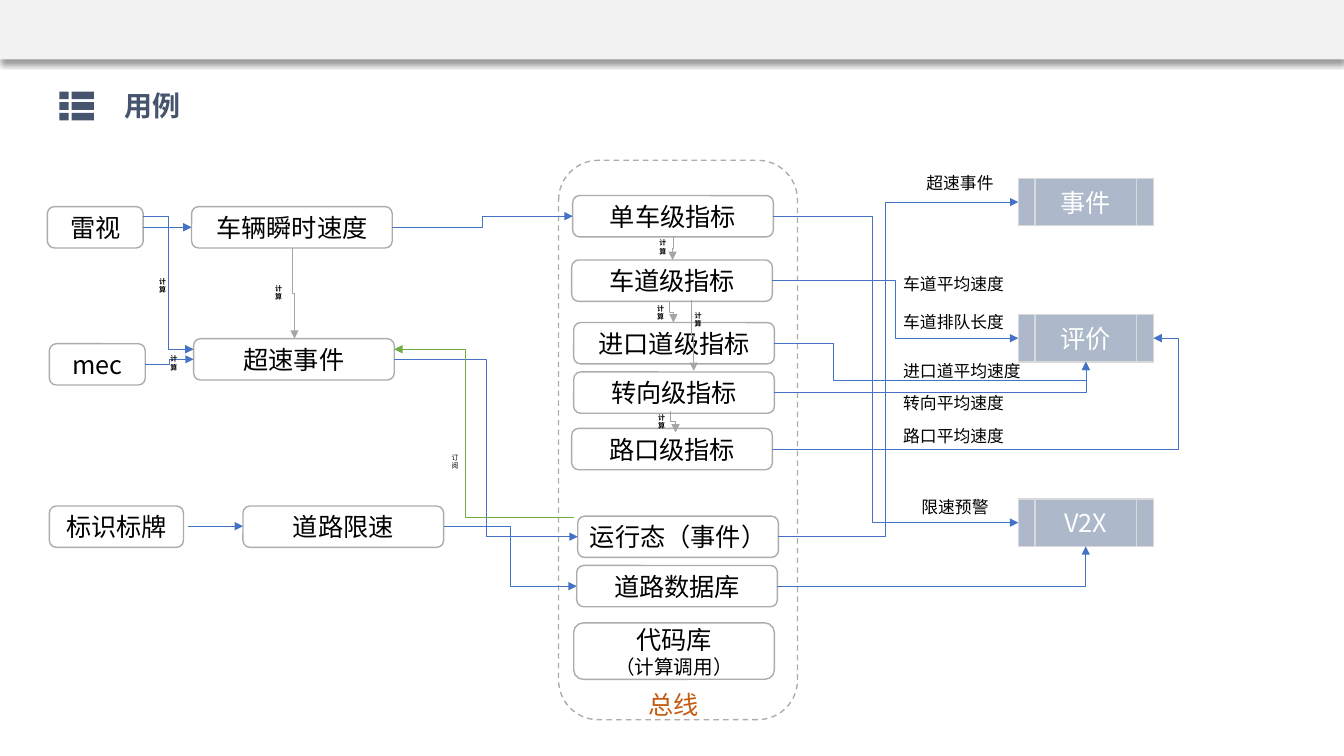
"""Build the use-case slide: sources, metrics bus and consumers joined by arrows."""
from lxml.etree import SubElement
from pptx import Presentation
from pptx.dml.color import RGBColor
from pptx.enum.dml import MSO_LINE
from pptx.enum.shapes import MSO_CONNECTOR as LINK, MSO_SHAPE as SHAPE
from pptx.enum.text import MSO_ANCHOR as ANCHOR, PP_ALIGN as ALIGN
from pptx.oxml.ns import qn
from pptx.util import Inches, Pt

FONT = "Noto Sans CJK SC"
COLORS = {"band": "F2F2F2", "title": "47546D", "edge": "AFABAB", "consumer": "ADB9CA",
          "consumer_edge": "D9D9D9", "white": "FFFFFF", "black": "000000", "bus": "C55A11",
          "flow": "4472C4", "derive": "A5A5A5", "subscribe": "70AD47"}
SLIDE_W, SLIDE_H = 13.33, 7.5
NARROW, TAG, WIDE, ROW = 0.95, 1.33, 1.99, 0.41
BUS = (5.54, 1.59, 2.37, 5.55)

BOXES = [
    ("雷视", 0.47, 2.05, NARROW), ("车辆瞬时速度", 1.9, 2.05, WIDE),
    ("mec", 0.49, 3.41, NARROW), ("超速事件", 1.92, 3.36, WIDE),
    ("标识标牌", 0.49, 5.02, TAG), ("道路限速", 2.41, 5.02, WIDE),
    ("单车级指标", 5.68, 1.94, WIDE), ("车道级指标", 5.67, 2.58, WIDE),
    ("进口道级指标", 5.69, 3.2, WIDE), ("转向级指标", 5.69, 3.69, WIDE),
    ("路口级指标", 5.67, 4.25, WIDE), ("运行态（事件）", 5.73, 5.12, WIDE),
    ("道路数据库", 5.72, 5.61, WIDE),
]
LIBRARY = ("代码库", "（计算调用）")
CONSUMERS = [("事件", 1.77), ("评价", 3.12), ("V2X", 4.95)]
CONSUMER_X, CONSUMER_W, CONSUMER_H = 10.1, 1.34, 0.47

FLOWS = [
    (("雷视", "right"), ("车辆瞬时速度", "left"), [0.5]),
    (("雷视", "right", -0.11), ("超速事件", "left", -0.1), [0.5]),
    (("mec", "right"), ("超速事件", "left"), [0.5]),
    (("车辆瞬时速度", "right"), ("单车级指标", "left"), [0.5]),
    (("超速事件", "right"), ("运行态（事件）", "left"), [0.5]),
    (("道路限速", "right"), ("道路数据库", "left"), [0.5]),
    (("运行态（事件）", "right"), ("事件", "left"), [0.446]),
    (("单车级指标", "right"), ("V2X", "left"), [0.404]),
    (("车道级指标", "right"), ("评价", "left"), [0.5]),
    (("进口道级指标", "right"), ("评价", "bottom"), [0.189, 1.993]),
    (("转向级指标", "right"), ("评价", "bottom"), []),
    (("路口级指标", "right"), ("评价", "right"), [1.066]),
    (("道路数据库", "right"), ("V2X", "bottom"), []),
]
DERIVATIONS = [(2.9, 2.46, 2.92, 3.36), (6.68, 2.35, 6.67, 2.58), (6.64, 2.99, 6.68, 3.2),
               (6.86, 2.98, 6.88, 3.68), (6.65, 4.08, 6.7, 4.29)]
OUTPUTS = [("超速事件", 9.09, 1.66), ("车道平均速度", 8.86, 2.67), ("车道排队长度", 8.86, 3.04),
           ("进口道平均速度", 8.86, 3.53), ("转向平均速度", 8.86, 3.85),
           ("路口平均速度", 8.86, 4.17), ("限速预警", 9.04, 4.88)]
COMPUTES = [(2.63, 2.77), (6.44, 2.32), (1.59, 3.47), (1.48, 2.7), (6.42, 2.97),
            (6.79, 3.04), (6.43, 4.05)]

deck = Presentation()
deck.slide_width, deck.slide_height = Inches(SLIDE_W), Inches(SLIDE_H)
slide = deck.slides.add_slide(deck.slide_layouts[5])
shapes = slide.shapes
places = {}


def color(name):
    return RGBColor.from_string(COLORS[name])


def write(holder, *lines, sizes=(18,), ink="black", bold=False, align=ALIGN.LEFT,
          anchor=ANCHOR.TOP, side=0.1):
    frame = holder.text_frame
    frame.word_wrap = True
    frame.vertical_anchor = anchor
    frame.margin_left = frame.margin_right = Inches(side)
    frame.margin_top = frame.margin_bottom = Inches(0.05)
    for index, (line, size) in enumerate(zip(lines, sizes)):
        paragraph = frame.add_paragraph() if index else frame.paragraphs[0]
        paragraph.alignment = align
        run = paragraph.add_run()
        run.text = line
        run.font.size, run.font.bold, run.font.name = Pt(size), bold, FONT
        run.font.color.rgb = color(ink)
        SubElement(run.font._element, qn("a:ea"), typeface=FONT)


def label(text, x, y, w, h, **style):
    write(shapes.add_textbox(*map(Inches, (x, y, w, h))), text, **style)


def block(kind, x, y, w, h, fill=None, edge=None):
    shape = shapes.add_shape(kind, *map(Inches, (x, y, w, h)))
    shape.shadow.inherit = False
    if fill:
        shape.fill.solid()
        shape.fill.fore_color.rgb = color(fill)
    else:
        shape.fill.background()
    if edge:
        shape.line.color.rgb, shape.line.width = color(edge), Pt(1)
    else:
        shape.line.fill.background()
    return shape


def node(lines, x, y, w, h, kind=SHAPE.ROUNDED_RECTANGLE, fill=None, edge="edge", **style):
    places[lines[0]] = (x, y, w, h)
    write(block(kind, x, y, w, h, fill, edge), *lines, align=ALIGN.CENTER,
          anchor=ANCHOR.MIDDLE, side=0.05, **style)


def port(name, side, shift=0):
    x, y, w, h = places[name]
    across, down = {"left": (0, 0.5), "right": (1, 0.5), "bottom": (0.5, 1)}[side]
    return x + w * across, y + h * down + shift


def arrow(start, end, bends, ink, kind=LINK.ELBOW):
    link = shapes.add_connector(kind, *map(Inches, (*start, *end)))
    link.line.color.rgb, link.line.width = color(ink), Pt(0.5)
    SubElement(link.line._get_or_add_ln(), qn("a:tailEnd"), type="triangle")
    properties = link._element.spPr
    SubElement(properties, qn("a:effectLst"))
    if kind == LINK.ELBOW:
        geometry = properties.find(qn("a:prstGeom"))
        geometry.set("prst", f"bentConnector{len(bends) + 2}")
        for number, share in enumerate(bends, 1):
            SubElement(geometry.find(qn("a:avLst")), qn("a:gd"), name=f"adj{number}",
                       fmla=f"val {round(share * 100000)}")
    return properties


def down_arrow(x1, y1, x2, y2):
    cx, cy, dx, dy = (x1 + x2) / 2, (y1 + y2) / 2, (x2 - x1) / 2, (y2 - y1) / 2
    turn = 1 if dx < 0 else -1
    properties = arrow((cx - turn * dy, cy + turn * dx), (cx + turn * dy, cy - turn * dx),
                       [0.5], "derive")
    properties.find(qn("a:xfrm")).set("rot", str(turn * 90 % 360 * 60000))


band = block(SHAPE.RECTANGLE, 0, 0, SLIDE_W, 0.59, "band")
shade = SubElement(band._element.spPr.find(qn("a:effectLst")), qn("a:outerShdw"),
                   blurRad=str(Pt(4)), dist=str(Pt(3)), dir="5400000", rotWithShape="0")
SubElement(SubElement(shade, qn("a:srgbClr"), val=COLORS["black"]), qn("a:alpha"), val="40000")

title = shapes.title
title.left, title.top, title.width, title.height = map(Inches, (1.13, 0.83, 5.33, 0.44))
write(title, "用例", sizes=(20,), ink="title", bold=True)

icon_cells = [(left, 0.91 + 0.105 * row, right, 0.985 + 0.105 * row)
              for row in range(3) for left, right in ((0.59, 0.68), (0.71, 0.93))]
outline = shapes.build_freeform(Inches(0.59), Inches(0.91))
for left, top, right, bottom in icon_cells:
    outline.move_to(Inches(left), Inches(top))
    outline.add_line_segments([(Inches(x), Inches(y)) for x, y in
                               ((right, top), (right, bottom), (left, bottom))])
icon = outline.convert_to_shape()
icon.shadow.inherit = False
icon.fill.solid()
icon.fill.fore_color.rgb = color("title")
icon.line.fill.background()

bus = block(SHAPE.ROUNDED_RECTANGLE, *BUS, edge="edge")
bus.line.dash_style = MSO_LINE.DASH
for text, x, y, w in BOXES:
    node([text], x, y, w, ROW)
node(LIBRARY, 5.69, 6.18, WIDE, 0.56, sizes=(18, 14))
for text, y in CONSUMERS:
    node([text], CONSUMER_X, y, CONSUMER_W, CONSUMER_H, SHAPE.FLOWCHART_PREDEFINED_PROCESS,
         "consumer", "consumer_edge", ink="white")

for source, target, bends in FLOWS:
    arrow(port(*source), port(*target), bends, "flow")
arrow((1.86, 5.22), (2.41, 5.22), [], "flow", LINK.STRAIGHT)
arrow((5.69, 5.13), port("超速事件", "right", -0.1), [0.601], "subscribe")
for ends in DERIVATIONS:
    down_arrow(*ends)

for text, x, y in OUTPUTS:
    label(text, x, y, 1.41, 0.3, sizes=(12,))
for x, y in COMPUTES:
    label("计算", x, y, 0.28, 0.27, sizes=(5,), bold=True)
label("订阅", 4.38, 4.45, 0.28, 0.27, sizes=(5,))
label("总线", 6.33, 6.79, 1.11, 0.4, ink="bus")

deck.save("out.pptx")
